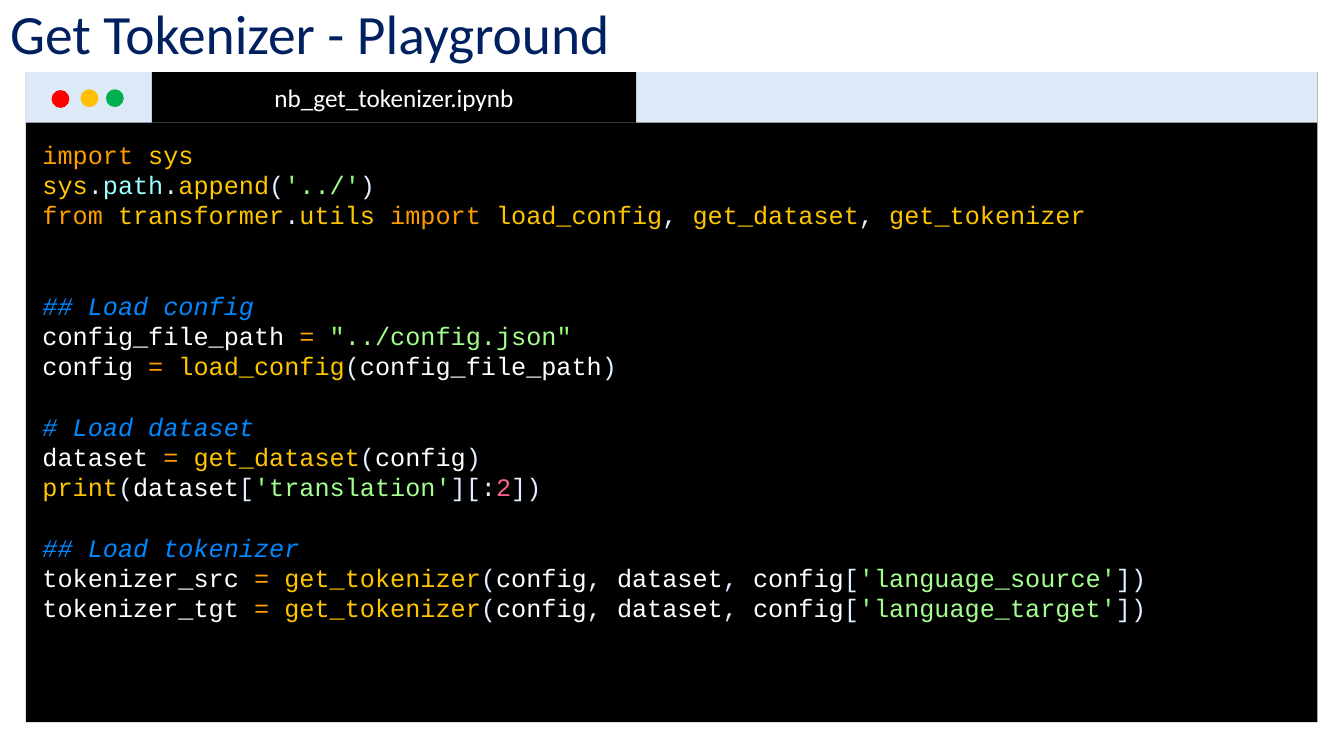
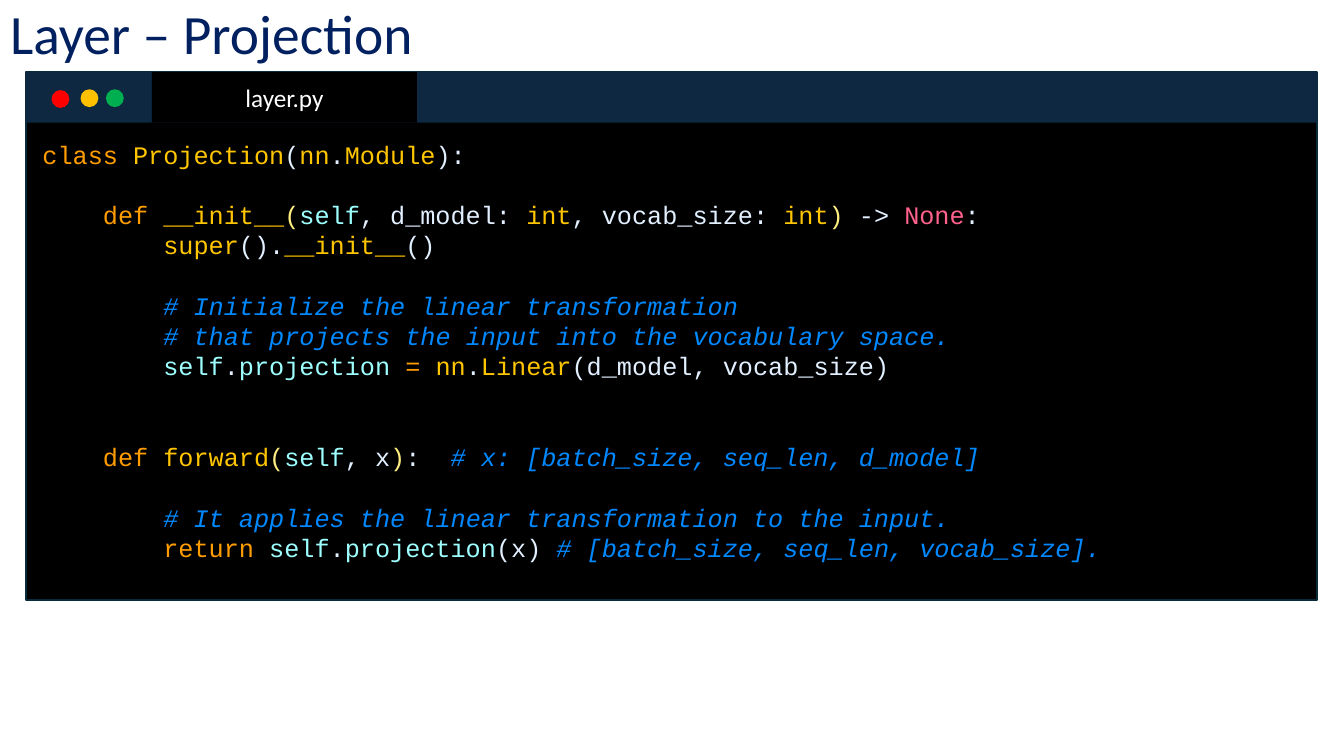
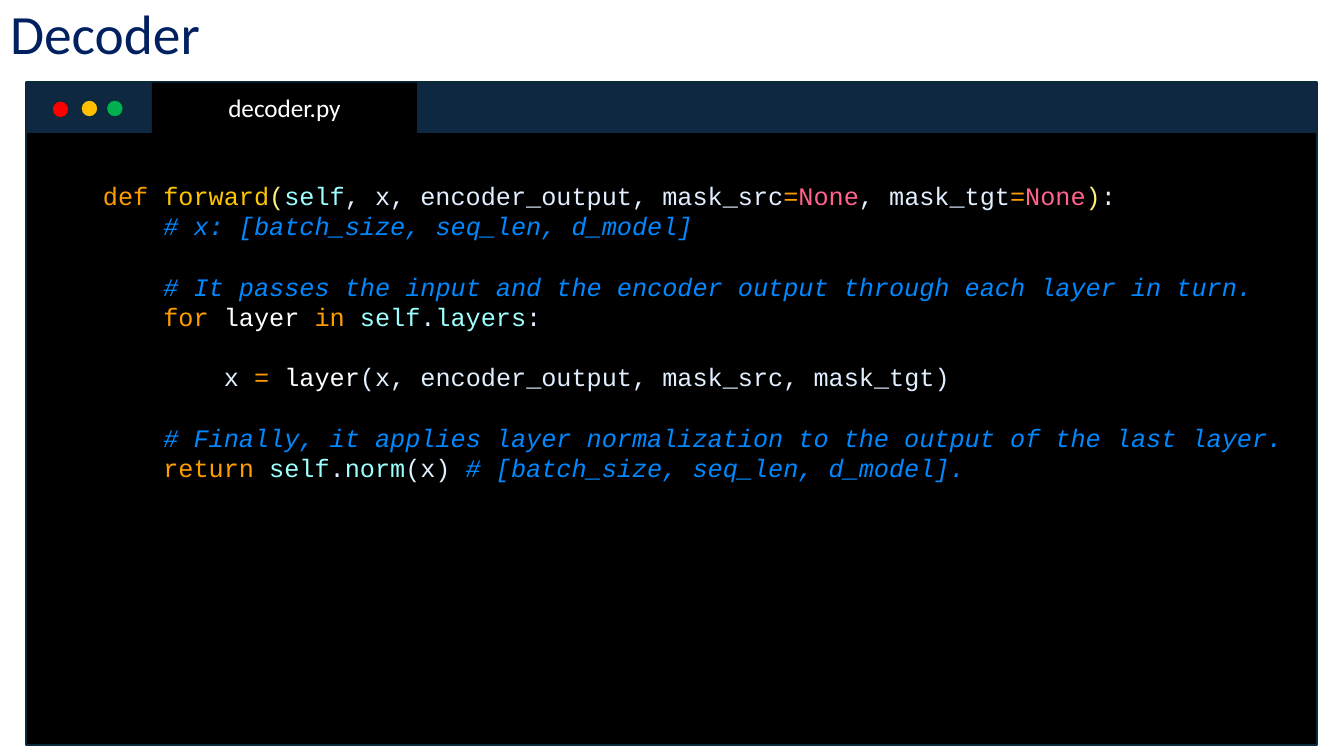
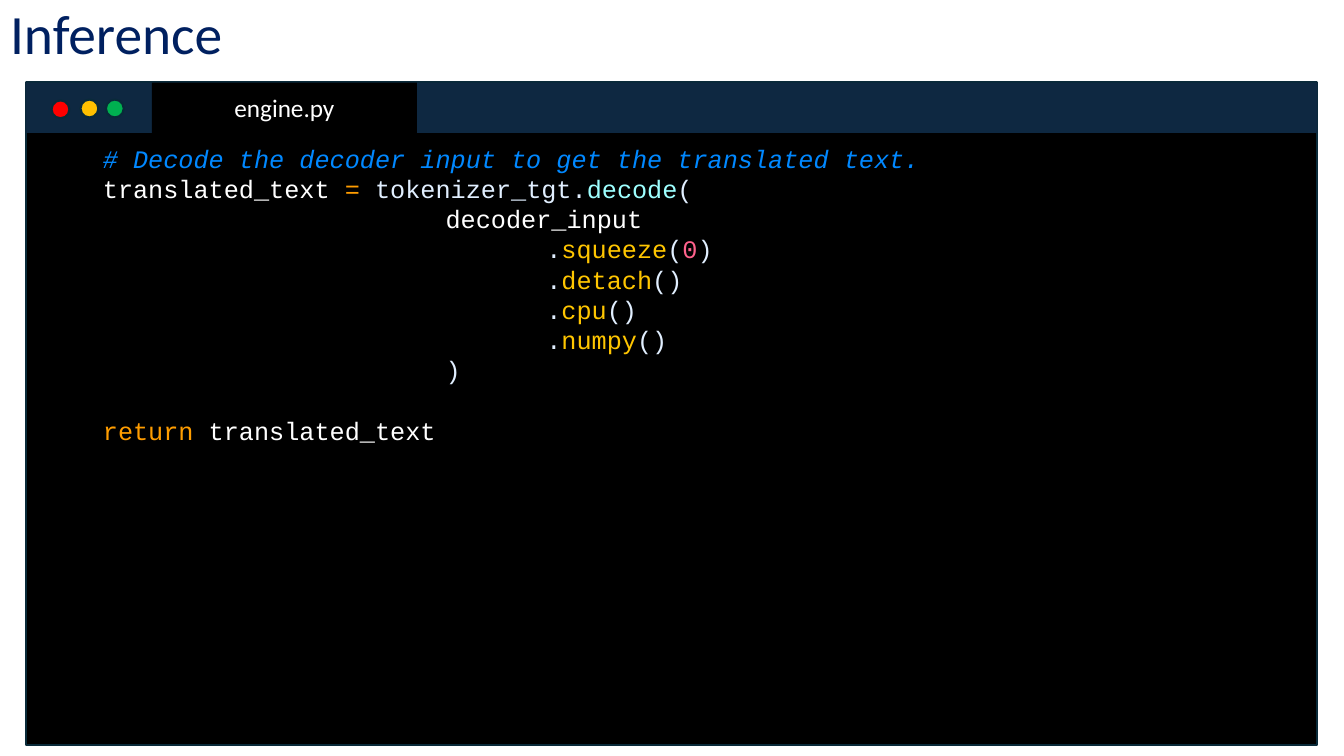
from itertools import groupby

from pptx import Presentation
from pptx.dml.color import RGBColor
from pptx.enum.shapes import MSO_SHAPE as SHAPE
from pptx.enum.text import MSO_ANCHOR as ANCHOR, MSO_AUTO_SIZE as AUTO, PP_ALIGN as ALIGN
from pptx.util import Cm, Pt

NAVY = RGBColor(0x00, 0x20, 0x60)
BLACK = RGBColor(0x00, 0x00, 0x00)
WHITE = RGBColor(0xFF, 0xFF, 0xFF)
DARK_BAR = RGBColor(0x0E, 0x28, 0x41)
LIGHT_BAR = RGBColor(0xDC, 0xEA, 0xF7)
OUTLINE = RGBColor(0x09, 0x2A, 0x39)
RED = RGBColor(0xFF, 0x00, 0x00)
AMBER = RGBColor(0xFF, 0xC0, 0x00)
GREEN = RGBColor(0x00, 0xB0, 0x50)

KEYWORD = RGBColor(0xFF, 0x9D, 0x00)
NAME = RGBColor(0xFF, 0xC6, 0x00)
MEMBER = RGBColor(0x9E, 0xFF, 0xFF)
PLAIN = RGBColor(0xE1, 0xEF, 0xFF)
CONSTANT = RGBColor(0xFF, 0x62, 0x8C)
QUOTE = RGBColor(0x92, 0xFC, 0x79)
STRING = RGBColor(0xA5, 0xFF, 0x90)
SIGNATURE = RGBColor(0xFF, 0xEE, 0x80)
COMMENT = RGBColor(0x00, 0x88, 0xFF)

VOCABULARY = {
    KEYWORD: "import from class def return for in",
    NAME: "sys transformer utils append load_config get_dataset get_tokenizer print "
          "Projection nn Module __init__ int super Linear forward squeeze detach cpu numpy",
    MEMBER: "self path projection layers norm decode",
    PLAIN: "d_model vocab_size x encoder_output mask_src mask_tgt",
    CONSTANT: "None 0 2",
}
WORD_COLORS = {w: color for color, words in VOCABULARY.items() for w in words.split()}

TOKENIZER_CODE = """\
import sys
sys.path.append('../')
from transformer.utils import load_config, get_dataset, get_tokenizer


## Load config
config_file_path = "../config.json"
config = load_config(config_file_path)

# Load dataset
dataset = get_dataset(config)
print(dataset['translation'][:2])

## Load tokenizer
tokenizer_src = get_tokenizer(config, dataset, config['language_source'])
tokenizer_tgt = get_tokenizer(config, dataset, config['language_target'])"""

PROJECTION_CODE = """\
class Projection(nn.Module):

    def __init__(self, d_model: int, vocab_size: int) -> None:
        super().__init__()

        # Initialize the linear transformation
        # that projects the input into the vocabulary space.
        self.projection = nn.Linear(d_model, vocab_size)


    def forward(self, x):  # x: [batch_size, seq_len, d_model]

        # It applies the linear transformation to the input.
        return self.projection(x) # [batch_size, seq_len, vocab_size]."""

DECODER_CODE = """\
    def forward(self, x, encoder_output, mask_src=None, mask_tgt=None):
        # x: [batch_size, seq_len, d_model]

        # It passes the input and the encoder output through each layer in turn.
        for layer in self.layers:

            x = layer(x, encoder_output, mask_src, mask_tgt)

        # Finally, it applies layer normalization to the output of the last layer.
        return self.norm(x) # [batch_size, seq_len, d_model]."""

INFERENCE_CODE = """\
    # Decode the decoder input to get the translated text.
    translated_text = tokenizer_tgt.decode(
\t\t\t\tdecoder_input
\t\t\t\t\t.squeeze(0)
\t\t\t\t\t.detach()
\t\t\t\t\t.cpu()
\t\t\t\t\t.numpy()
\t\t\t\t)

    return translated_text"""


def color_tokens(text, is_def, plain):
    color = PLAIN
    for is_word, chars in groupby(text, lambda c: c.isalnum() or c == "_"):
        chars = "".join(chars)
        if is_word:
            color = PLAIN if chars in plain else WORD_COLORS.get(chars, WHITE)
            yield color, chars
            continue
        for c in chars:
            if c == "=":
                color = KEYWORD
            elif c in "()" and is_def:
                color = SIGNATURE
            elif c != " ":
                color = PLAIN
            yield color, c


def highlight(line, plain):
    code, mark, comment = line.partition("#")
    is_def = code.strip().startswith("def ")
    quote = "'" if "'" in code else '"'
    tokens = []
    for i, part in enumerate(code.split(quote)):
        if i:
            tokens.append((QUOTE, quote))
        tokens += [(STRING, part)] if i % 2 else color_tokens(part, is_def, plain)
    tokens.append((COMMENT, mark + comment))
    for color, group in groupby(tokens, lambda t: t[0]):
        text = "".join(t[1] for t in group)
        if text:
            yield color, text


class Deck:
    LEFT, WIDTH, BAR = 0.65, 32.55, 1.27
    TAB_LEFT, DOT = 3.83, 0.45
    DOTS = ((1.3, 0.45, RED), (2.03, 0.43, AMBER), (2.67, 0.43, GREEN))
    CODE_LEFT, CODE_WIDTH, TAB_STOP = 0.82, 32.2, 2.54
    LINE_PT, LINE_CM = 21.6, 0.76

    def __init__(self):
        self.prs = Presentation()
        self.prs.slide_width, self.prs.slide_height = Cm(33.87), Cm(19.05)
        self.s = None

    def slide(self, title):
        self.s = self.prs.slides.add_slide(self.prs.slide_layouts[5])
        sp = self.s.shapes.title
        sp.left, sp.top, sp.width, sp.height = Cm(0), Cm(0.23), Cm(24), Cm(1.6)
        tf = sp.text_frame
        tf.text = title
        tf.auto_size = AUTO.NONE
        tf.vertical_anchor = ANCHOR.MIDDLE
        p = tf.paragraphs[0]
        p.alignment, p.line_spacing = ALIGN.LEFT, 0.7
        self.style(p.runs[0], "Calibri", 39.6, NAVY)

    def style(self, r, name, size, color):
        r.font.name, r.font.size = name, Pt(size)
        r.font.color.rgb = color

    def shape(self, kind, left, top, width, height, fill, outlined=False):
        sp = self.s.shapes.add_shape(kind, Cm(left), Cm(top), Cm(width), Cm(height))
        sp.shadow.inherit = False
        sp.fill.solid()
        sp.fill.fore_color.rgb = fill
        if outlined:
            sp.line.color.rgb, sp.line.width = OUTLINE, Pt(1.5)
        else:
            sp.line.fill.background()
        return sp

    def window(self, name, top, height, bar=DARK_BAR, tab_width=6.68,
               outlined=True, dots_outlined=False):
        self.shape(SHAPE.RECTANGLE, self.LEFT, top, self.WIDTH, height, BLACK, outlined)
        self.shape(SHAPE.RECTANGLE, self.LEFT, top, self.WIDTH, self.BAR, bar)
        for left, drop, color in self.DOTS:
            self.shape(SHAPE.OVAL, left, top + drop, self.DOT, self.DOT, color, dots_outlined)
        tab = self.shape(SHAPE.RECTANGLE, self.TAB_LEFT, top, tab_width, self.BAR, BLACK)
        tf = tab.text_frame
        tf.text = name
        tf.vertical_anchor = ANCHOR.MIDDLE
        p = tf.paragraphs[0]
        p.alignment = ALIGN.CENTER
        self.style(p.runs[0], "Calibri", 18, WHITE)

    def code(self, source, top, plain=()):
        lines = source.split("\n")
        sp = self.shape(SHAPE.RECTANGLE, self.CODE_LEFT, top, self.CODE_WIDTH,
                        len(lines) * self.LINE_CM + 0.25, BLACK)
        tf = sp.text_frame
        tf.word_wrap = True
        tf.vertical_anchor = ANCHOR.TOP
        p, blanks = None, 0
        for line in lines:
            if not line:
                blanks += 1
                continue
            p = tf.add_paragraph() if p else tf.paragraphs[0]
            p.alignment, p.line_spacing = ALIGN.LEFT, Pt(self.LINE_PT)
            if blanks:
                p.space_before = Pt(blanks * self.LINE_PT)
            blanks = 0
            text = line.lstrip("\t")
            tabs = len(line) - len(text)
            if tabs:
                p._p.get_or_add_pPr().set("marL", str(Cm(tabs * self.TAB_STOP)))
            for color, part in highlight(text, plain):
                r = p.add_run()
                r.text = part
                self.style(r, "Courier New", 18, color)
                r.font.italic = color == COMMENT


def main():
    deck = Deck()

    deck.slide("Get Tokenizer - Playground")
    deck.window("nb_get_tokenizer.ipynb", 1.82, 16.38, LIGHT_BAR, 12.2, outlined=False)
    deck.code(TOKENIZER_CODE, 3.38)

    deck.slide("Layer – Projection")
    deck.window("layer.py", 1.82, 13.31)
    deck.code(PROJECTION_CODE, 3.38)

    deck.slide("Decoder")
    deck.window("decoder.py", 2.08, 16.69, dots_outlined=True)
    deck.code(DECODER_CODE, 4.42)

    deck.slide("Inference")
    deck.window("engine.py", 2.08, 16.69, dots_outlined=True)
    deck.code(INFERENCE_CODE, 3.48, plain=("tokenizer_tgt",))

    deck.prs.save("out.pptx")


if __name__ == "__main__":
    main()
